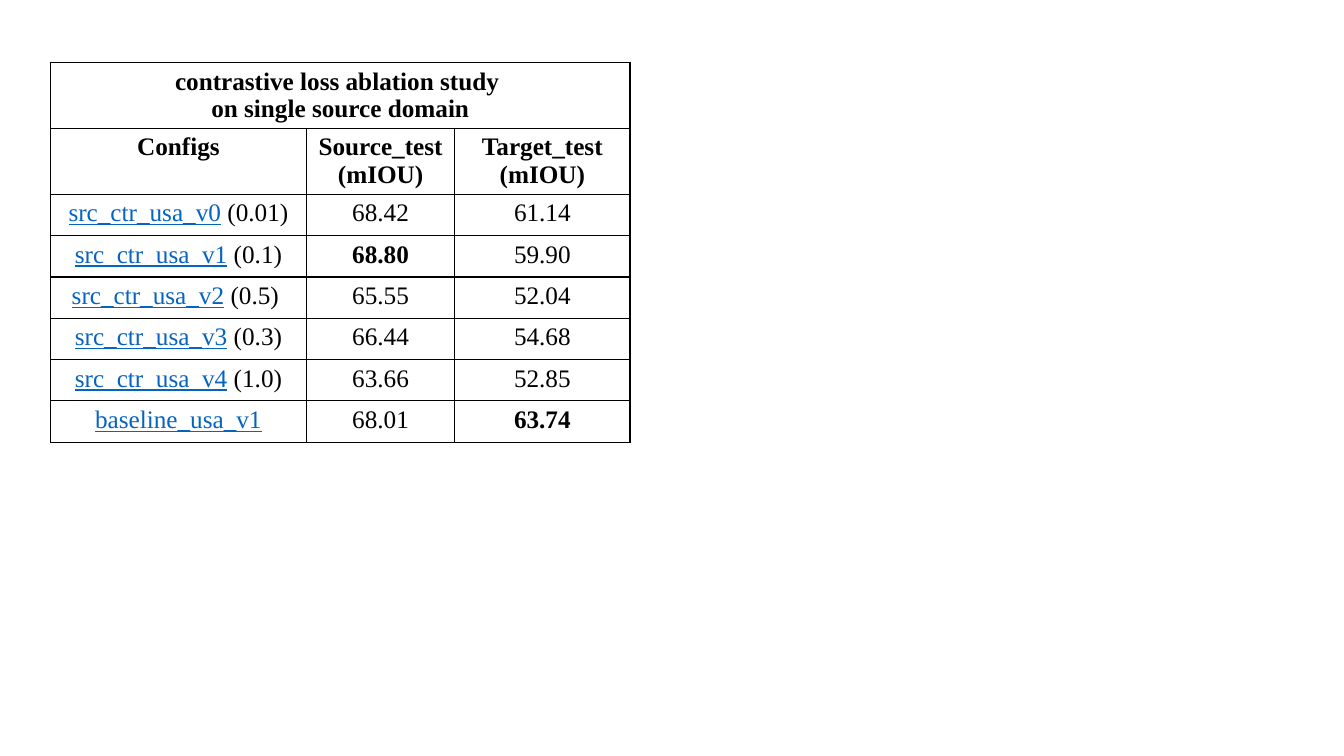
"""Build a slide with the contrastive loss ablation table."""
from lxml import etree
from pptx import Presentation
from pptx import util as u
from pptx.dml import color
from pptx.enum import text
from pptx.oxml import ns

COLORS = {"ink": "000000", "link": "0563C1", "paper": "FFFFFF"}
COLUMN_WIDTHS = [2.54, 1.47, 1.74]
HEADER_HEIGHT, RESULT_HEIGHT = 0.65, 0.41
TITLE = "contrastive loss ablation study \non single source domain"
HEADINGS = ["Configs", "Source_test\n(mIOU)", "Target_test\n(mIOU)"]
RESULTS = [
    ("src_ctr_usa_v0", " (0.01)", "68.42", "61.14"),
    ("src_ctr_usa_v1", " (0.1)", "68.80", "59.90"),
    ("src_ctr_usa_v2", " (0.5) ", "65.55", "52.04"),
    ("src_ctr_usa_v3", " (0.3)", "66.44", "54.68"),
    ("src_ctr_usa_v4", " (1.0)", "63.66", "52.85"),
    ("baseline_usa_v1", "", "68.01", "63.74"),
]
BEST_SCORES = {"68.80", "63.74"}


def add_borders(cell):
    properties = cell._tc.get_or_add_tcPr()
    for position, side in enumerate(["lnL", "lnR", "lnT", "lnB"]):
        border = etree.Element(ns.qn(f"a:{side}"), w=str(u.Pt(1)))
        fill = etree.SubElement(border, ns.qn("a:solidFill"))
        etree.SubElement(fill, ns.qn("a:srgbClr"), val=COLORS["ink"])
        properties.insert(position, border)


deck = Presentation()
deck.slide_width, deck.slide_height = u.Inches(13.33), u.Inches(7.5)
slide = deck.slides.add_slide(deck.slide_layouts[6])

row_heights = [HEADER_HEIGHT] * 2 + [RESULT_HEIGHT] * len(RESULTS)
ablation = slide.shapes.add_table(
    len(row_heights), len(COLUMN_WIDTHS), u.Inches(0.5), u.Inches(0.62),
    u.Inches(sum(COLUMN_WIDTHS)), u.Inches(sum(row_heights))).table
ablation.first_row = False
ablation.horz_banding = False
for column, width in zip(ablation.columns, COLUMN_WIDTHS):
    column.width = u.Inches(width)
for row, height in zip(ablation.rows, row_heights):
    row.height = u.Inches(height)

ablation.cell(0, 0).merge(ablation.cell(0, 2))
ablation.cell(0, 0).text_frame.text = TITLE
for column_index, heading in enumerate(HEADINGS):
    ablation.cell(1, column_index).text_frame.text = heading
for row_index, (config, weight, *scores) in enumerate(RESULTS, start=2):
    config_line = ablation.cell(row_index, 0).text_frame.paragraphs[0]
    config_line.text = config
    if weight:
        config_line.add_run().text = weight
    for column_index, score in enumerate(scores, start=1):
        ablation.cell(row_index, column_index).text_frame.text = score

configs = {result[0] for result in RESULTS}
for row_index, row in enumerate(ablation.rows):
    for cell in row.cells:
        cell.fill.solid()
        cell.fill.fore_color.rgb = color.RGBColor.from_string(COLORS["paper"])
        add_borders(cell)
        for paragraph in cell.text_frame.paragraphs:
            paragraph.alignment = text.PP_ALIGN.CENTER
            for run in paragraph.runs:
                linked = run.text in configs
                run.font.name = "Times New Roman"
                run.font.size = u.Pt(18)
                run.font.bold = row_index < 2 or run.text in BEST_SCORES
                run.font.underline = linked
                run.font.color.rgb = color.RGBColor.from_string(
                    COLORS["link" if linked else "ink"])

deck.save("out.pptx")
